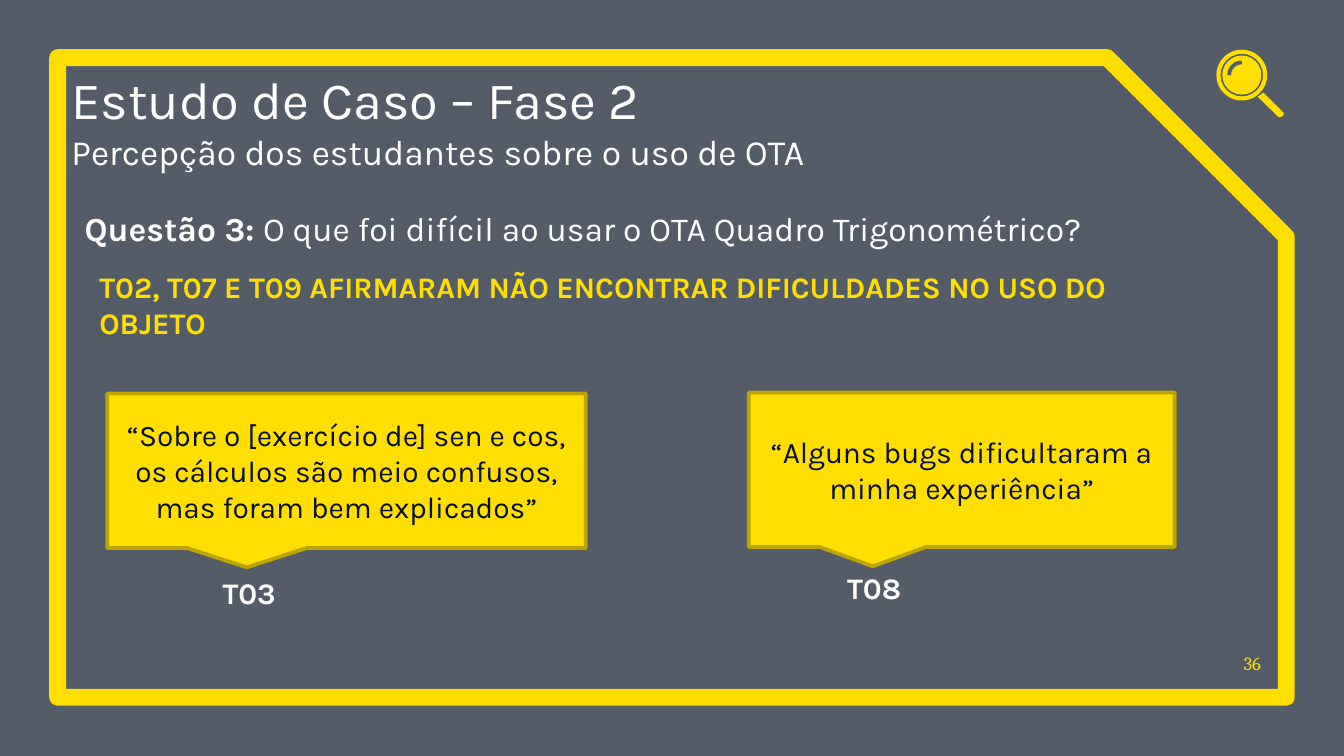
from dataclasses import dataclass

from lxml import etree
from pptx import Presentation
from pptx import util as u
from pptx.dml.color import RGBColor
from pptx.enum import shapes, text
from pptx.oxml.ns import qn

SHAPE = shapes.MSO_SHAPE
ALIGN = text.PP_ALIGN
ANCHOR = text.MSO_ANCHOR


@dataclass(frozen=True)
class Theme:
    background: str = "545C67"
    accent: str = "FFDE00"
    edge: str = "BDA400"
    light: str = "FFFFFF"
    dark: str = "040F20"
    font: str = "Karla"
    number_font: str = "Cambria"
    title: int = 28
    subtitle: int = 19
    question: int = 18
    body: int = 16
    number: int = 10


class SlideBuilder:
    """Holds the theme and the current slide, and draws each kind of element."""

    def __init__(self, presentation, theme):
        self.theme = theme
        self.slide = presentation.slides.add_slide(presentation.slide_layouts[5])
        fill = self.slide.background.fill
        fill.solid()
        fill.fore_color.rgb = RGBColor.from_string(theme.background)

    def add_run(self, paragraph, words, size, color, **formats):
        run = paragraph.add_run()
        run.text = words
        values = {"name": self.theme.font, "size": u.Pt(size), "bold": False, **formats}
        for name, value in values.items():
            setattr(run.font, name, value)
        run.font.color.rgb = RGBColor.from_string(color)
        return run

    def format_frame(self, frame, anchor, inset=None):
        values = {"word_wrap": True, "auto_size": text.MSO_AUTO_SIZE.NONE,
                  "vertical_anchor": anchor}
        if inset is not None:
            sides = ("left", "top", "right", "bottom")
            values.update({f"margin_{side}": u.Cm(inset) for side in sides})
        for name, value in values.items():
            setattr(frame, name, value)

    def add_text_shadow(self, run):
        properties = run.font._element
        effects = etree.Element(qn("a:effectLst"))
        shadow = etree.SubElement(effects, qn("a:outerShdw"), blurRad="38100",
                                  dist="38100", dir="2700000", algn="tl")
        color = etree.SubElement(shadow, qn("a:srgbClr"), val="000000")
        etree.SubElement(color, qn("a:alpha"), val="43000")
        properties.find(qn("a:solidFill")).addnext(effects)

    def add_title(self, box, lines):
        title = self.slide.shapes.title
        for name, value in zip(("left", "top", "width", "height"), box):
            setattr(title, name, u.Cm(value))
        frame = title.text_frame
        self.format_frame(frame, ANCHOR.BOTTOM, 0)
        for index, (words, size) in enumerate(lines):
            paragraph = frame.add_paragraph() if index else frame.paragraphs[0]
            paragraph.alignment = ALIGN.LEFT
            self.add_text_shadow(self.add_run(paragraph, words, size, self.theme.light))

    def add_text(self, box, runs, align=ALIGN.LEFT, anchor=ANCHOR.TOP, inset=None):
        frame = self.slide.shapes.add_textbox(*map(u.Cm, box)).text_frame
        self.format_frame(frame, anchor, inset)
        paragraph = frame.paragraphs[0]
        paragraph.alignment = align
        for words, size, color, formats in runs:
            self.add_run(paragraph, words, size, color, **formats)

    def paint(self, shape, fill=None, line=None, width=0):
        shape.shadow.inherit = False
        for target, color in ((shape.fill, fill), (shape.line.fill, line)):
            if color:
                target.solid()
                target.fore_color.rgb = RGBColor.from_string(color)
            else:
                target.background()
        if line:
            shape.line.width = u.Pt(width)
        return shape

    def add_shape(self, kind, box, adjustments=(), **style):
        shape = self.slide.shapes.add_shape(kind, *map(u.Cm, box))
        for index, value in enumerate(adjustments):
            shape.adjustments[index] = value
        return self.paint(shape, **style)

    def add_circle(self, kind, center, radius, adjustments=(), **style):
        left, top = (value - radius for value in center)
        self.add_shape(kind, (left, top, 2 * radius, 2 * radius), adjustments, **style)

    def add_polygon(self, points, **style):
        start, *rest = [tuple(map(u.Cm, point)) for point in points]
        builder = self.slide.shapes.build_freeform(*start)
        builder.add_line_segments(rest, close=True)
        self.paint(builder.convert_to_shape(), **style)

    def add_magnifier(self, center):
        theme = self.theme
        self.add_circle(SHAPE.DONUT, center, 0.48, [0.08], fill=theme.accent)
        self.add_circle(SHAPE.OVAL, center, 0.37, fill=theme.accent)
        self.add_circle(SHAPE.ARC, center, 0.24, [108, 162],
                        line=theme.background, width=2)
        handle = [(23.88, 1.75), (24.26, 2.13), (24.26, 2.18),
                  (24.21, 2.21), (24.16, 2.21), (23.77, 1.83)]
        self.add_polygon(handle, fill=theme.accent)

    def add_quote(self, box, words, label_box, label):
        theme = self.theme
        callout = self.add_shape(SHAPE.RECTANGULAR_CALLOUT, box, fill=theme.accent,
                                 line=theme.edge, width=2)
        self.format_frame(callout.text_frame, ANCHOR.MIDDLE)
        paragraph = callout.text_frame.paragraphs[0]
        paragraph.alignment = ALIGN.CENTER
        self.add_run(paragraph, words, theme.body, theme.dark)
        self.add_text(label_box, [(label, theme.body, theme.light, {"bold": True})],
                      ALIGN.CENTER)


def main():
    presentation = Presentation()
    presentation.slide_width = u.Cm(25.4)
    presentation.slide_height = u.Cm(14.29)
    theme = Theme()
    builder = SlideBuilder(presentation, theme)

    builder.add_shape(SHAPE.SNIP_1_RECTANGLE, (1.09, 1.09, 23.22, 12.09), [0.28],
                      line=theme.accent, width=9)
    builder.add_text((23.14, 12.04, 0.69, 0.71),
                     [("36", theme.number, theme.accent, {"name": theme.number_font})],
                     ALIGN.RIGHT, ANCHOR.BOTTOM, 0)
    builder.add_magnifier((23.47, 1.42))
    builder.add_title((1.35, 1.37, 21.36, 1.9), [
        ("Estudo de Caso – Fase 2", theme.title),
        ("Percepção dos estudantes sobre o uso de OTA", theme.subtitle),
    ])
    builder.add_text((1.35, 3.81, 20.5, 1.02), [
        ("Questão 3: ", theme.question, theme.light, {"bold": True}),
        ("O que foi difícil ao usar o OTA Quadro Trigonométrico?",
         theme.question, theme.light, {}),
    ])
    builder.add_text((1.63, 4.95, 20.22, 1.63), [
        ("T02, T07 E T09 AFIRMARAM NÃO ENCONTRAR DIFICULDADES NO USO DO OBJETO",
         theme.body, theme.accent, {"bold": True}),
    ])
    quotes = [
        ((2.03, 7.44, 9.04, 2.92),
         "“Sobre o [exercício de] sen e cos, os cálculos são meio confusos, "
         "mas foram bem explicados”",
         (3.91, 10.74, 1.6, 0.94), "T03"),
        ((14.15, 7.42, 8.05, 2.92),
         "“Alguns bugs dificultaram a minha experiência”",
         (15.72, 10.64, 1.6, 0.94), "T08"),
    ]
    for quote in quotes:
        builder.add_quote(*quote)

    presentation.save("out.pptx")


if __name__ == "__main__":
    main()
